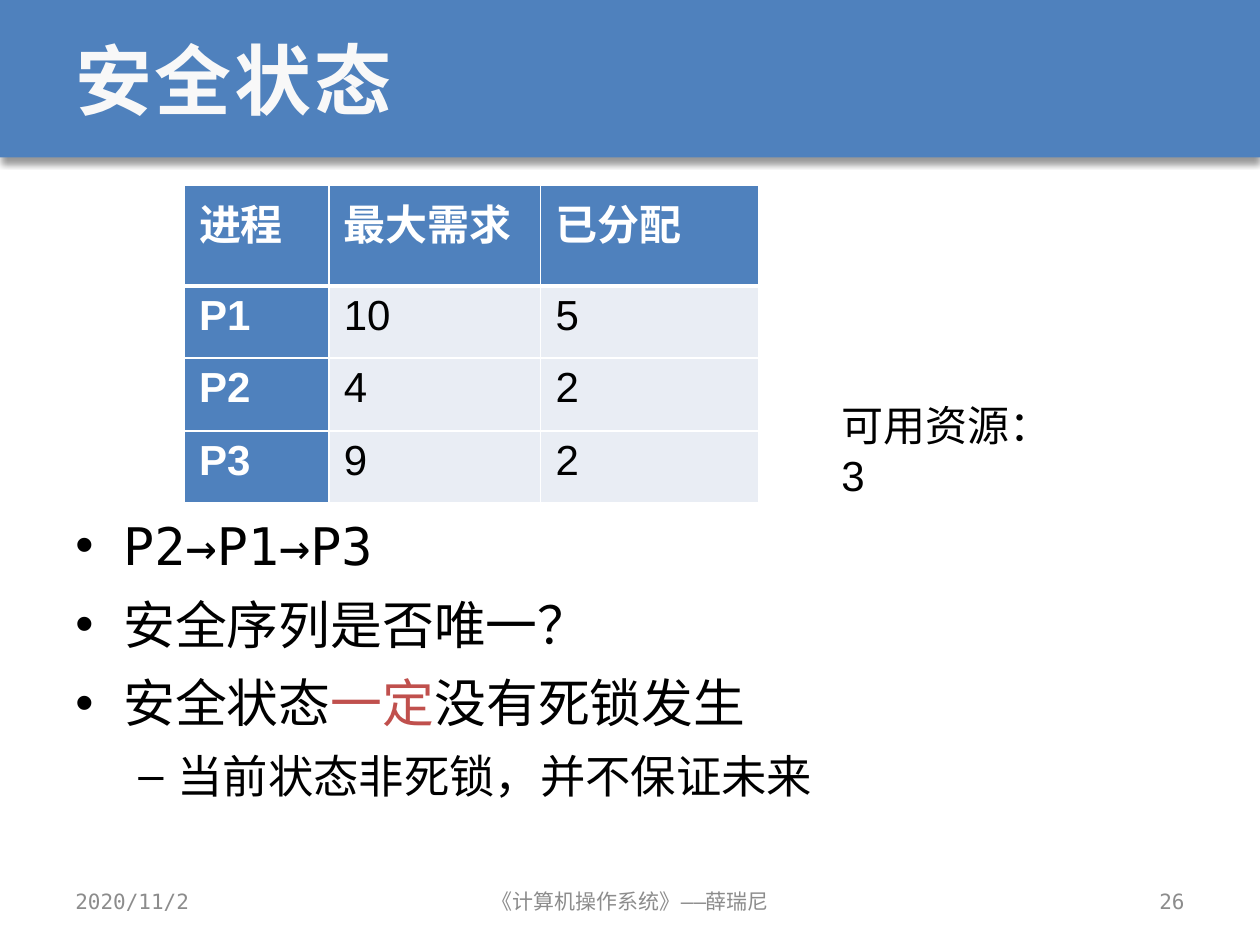
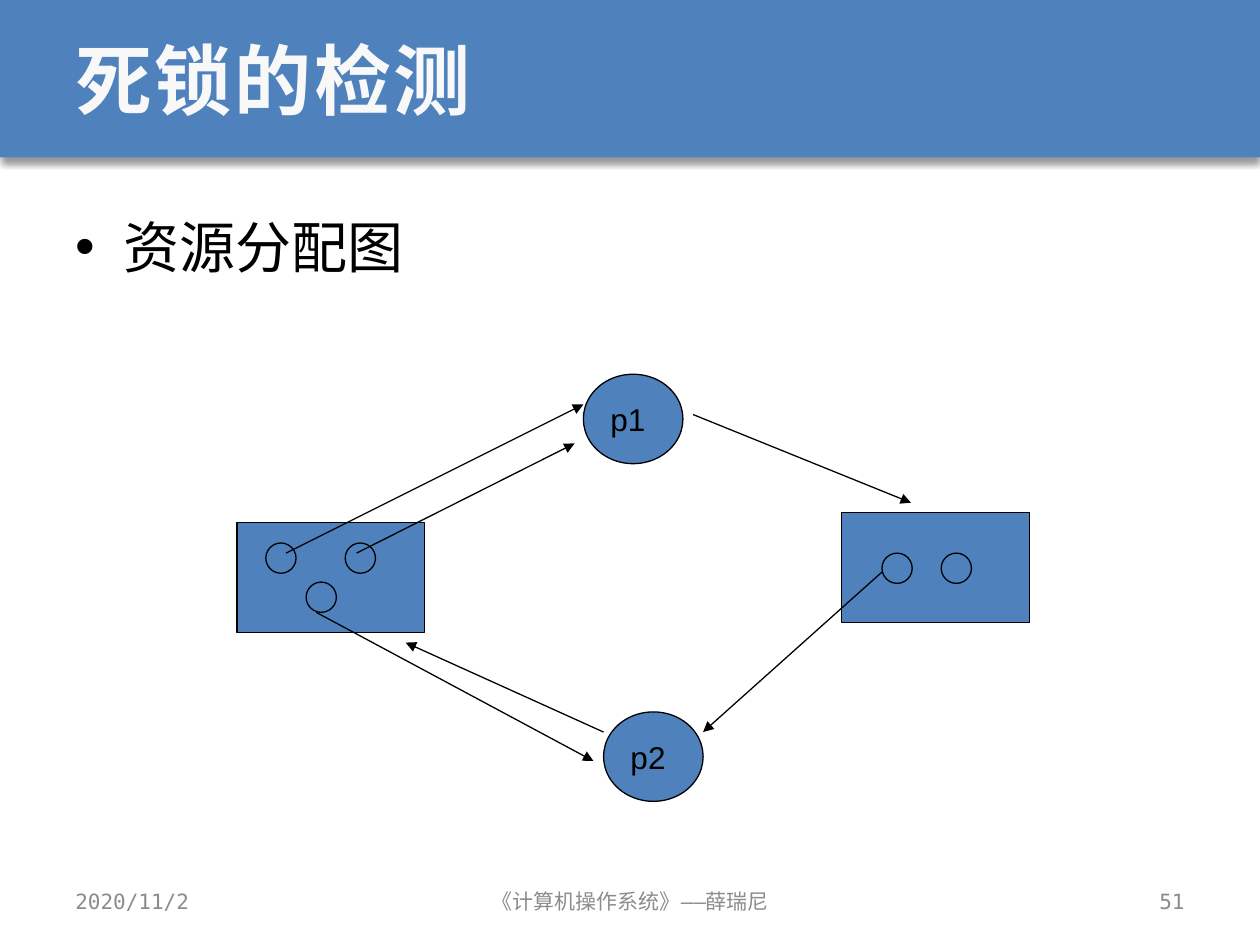
from lxml.etree import SubElement
from pptx import Presentation
from pptx.dml.color import RGBColor
from pptx.enum.lang import MSO_LANGUAGE_ID
from pptx.enum.shapes import MSO_CONNECTOR, MSO_SHAPE
from pptx.enum.text import MSO_ANCHOR, PP_ALIGN
from pptx.oxml import parse_xml
from pptx.oxml.ns import nsdecls, qn
from pptx.util import Inches, Pt

BLUE, PALE, RED = "4F81BD", "E9EDF4", "C0504D"
BLACK, WHITE, SNOW, GRAY = "000000", "FFFFFF", "F8F8F8", "8C8C8C"
SANS, MONO = "Arial", "DejaVu Sans Mono"
LEFT, WIDE = 0.5, 9
BAND = 1.25
DOT = 0.24


def color(code):
    return RGBColor.from_string(code)


def box(at):
    return [Inches(n) for n in at]


def xml(tag, body="", attrs=""):
    return parse_xml(f"<a:{tag} {nsdecls('a')} {attrs}>{body}</a:{tag}>")


def write(para, text, size=24, font=SANS, tint=BLACK, bold=False, gap=0):
    """Add one run; gap is the letter spacing in points."""
    run = para.add_run()
    run.text = text
    face = run.font
    face.size, face.name, face.bold = Pt(size), font, bold
    face.color.rgb = color(tint)
    face.language_id = MSO_LANGUAGE_ID.SIMPLIFIED_CHINESE
    props = run.font._element
    if gap:
        props.set("spc", str(round(gap * 100)))
    if font == MONO:
        SubElement(props, qn("a:ea"), typeface=font)


def frame(slide, at, anchor=MSO_ANCHOR.TOP):
    body = slide.shapes.add_textbox(*box(at)).text_frame
    body.word_wrap = True
    body.vertical_anchor = anchor
    return body


def label(slide, at, text, align=PP_ALIGN.LEFT, anchor=MSO_ANCHOR.MIDDLE, **style):
    para = frame(slide, at, anchor).paragraphs[0]
    para.alignment = align
    write(para, text, **style)


def shape(slide, kind, at, edge=BLACK):
    item = slide.shapes.add_shape(kind, *box(at))
    item.shadow.inherit = False
    item.fill.solid()
    item.fill.fore_color.rgb = color(BLUE)
    if edge:
        item.line.color.rgb = color(edge)
        item.line.width = Pt(0.75)
    else:
        item.line.fill.background()
    return item


def base(deck, title, number):
    """Start a slide with its title band and footer."""
    slide = deck.slides.add_slide(deck.slide_layouts[6])
    band = shape(slide, MSO_SHAPE.RECTANGLE, (0, 0, 10, BAND), edge=None)
    shade = band._element.spPr.find(qn("a:effectLst"))
    shade.append(xml("outerShdw", '<a:srgbClr val="000000"><a:alpha val="40000"/></a:srgbClr>',
                     f'blurRad="{Pt(4)}" dist="{Pt(3)}" dir="5400000" rotWithShape="0"'))
    label(slide, (LEFT, 0, WIDE, BAND), title, size=44, font=MONO, tint=SNOW, bold=True, gap=1.5)
    feet = [(LEFT, 2.33, "2020/11/2", PP_ALIGN.LEFT),
            (3.42, 3.17, "《计算机操作系统》——薛瑞尼", PP_ALIGN.CENTER),
            (7.17, 2.33, number, PP_ALIGN.RIGHT)]
    for left, width, text, align in feet:
        label(slide, (left, 6.95, width, 0.4), text, align, size=12, font=MONO, tint=GRAY)
    return slide


def bullets(slide, at, items, space):
    """Each item is (level, size, [(text, colour), ...])."""
    body = frame(slide, at)
    for i, (level, size, parts) in enumerate(items):
        para = body.add_paragraph() if i else body.paragraphs[0]
        sign, left, hang = [("•", 0.38, 0.38), ("–", 0.81, 0.31)][level]
        props = para._p.get_or_add_pPr()
        props.set("marL", str(Inches(left)))
        props.set("indent", str(-Inches(hang)))
        SubElement(props, qn("a:buFont"), typeface=SANS)
        SubElement(props, qn("a:buChar"), char=sign)
        para.level = level
        para.line_spacing = space
        if i:
            para.space_before = Pt(round(size * 0.2, 1))
        for text, tint in parts:
            write(para, text, size=size, font=MONO, tint=tint)


def border(cell, head):
    props = cell._tc.get_or_add_tcPr()
    for i, side in enumerate("LRTB"):
        width = 3 if head and side == "B" else 1
        fill = f'<a:solidFill><a:srgbClr val="{WHITE}"/></a:solidFill>'
        props.insert(i, xml("ln" + side, fill, f'w="{Pt(width)}"'))


def table(slide, at, rows, widths, heights):
    grid = slide.shapes.add_table(len(rows), len(widths), *box(at)).table
    for col, width in zip(grid.columns, widths):
        col.width = Inches(width)
    for r, row in enumerate(rows):
        grid.rows[r].height = Inches(heights[r])
        for c, text in enumerate(row):
            cell = grid.cell(r, c)
            head = r == 0 or c == 0
            cell.margin_left = cell.margin_right = Inches(0.12)
            cell.margin_top = cell.margin_bottom = Inches(0.05)
            cell.fill.solid()
            cell.fill.fore_color.rgb = color(BLUE if head else PALE)
            border(cell, r == 0)
            write(cell.text_frame.paragraphs[0], text, tint=WHITE if head else BLACK, bold=head)


def process(slide, left, top, name):
    body = shape(slide, MSO_SHAPE.OVAL, (left, top, 0.79, 0.71)).text_frame
    body.word_wrap = False
    body.vertical_anchor = MSO_ANCHOR.MIDDLE
    body.paragraphs[0].alignment = PP_ALIGN.LEFT
    write(body.paragraphs[0], name, size=18)


def store(slide, left, top, units):
    """Draw a resource box with a dot for each unit."""
    shape(slide, MSO_SHAPE.RECTANGLE, (left, top, 1.49, 0.87))
    for x, y in units:
        shape(slide, MSO_SHAPE.OVAL, (x, y, DOT, DOT))


def arrow(slide, start, end):
    line = slide.shapes.add_connector(MSO_CONNECTOR.STRAIGHT, *box(start + end))
    line.line.color.rgb = color(BLACK)
    line.line.width = Pt(0.75)
    SubElement(line.line._get_or_add_ln(), qn("a:tailEnd"), type="triangle")
    SubElement(line._element.spPr, qn("a:effectLst"))


def safe(deck):
    slide = base(deck, "安全状态", "26")
    bullets(slide, (LEFT, 3.98, WIDE, 2.83), [
        (0, 29.6, [("P2→P1→P3", BLACK)]),
        (0, 29.6, [("安全序列是否唯一？", BLACK)]),
        (0, 29.6, [("安全状态", BLACK), ("一定", RED), ("没有死锁发生", BLACK)]),
        (1, 25.9, [("当前状态非死锁，并不保证未来", BLACK)]),
    ], 1.1)
    rows = [("进程", "最大需求", "已分配"), ("P1", "10", "5"), ("P2", "4", "2"), ("P3", "9", "2")]
    table(slide, (1.46, 1.47, 4.57, 2.52), rows, (1.15, 1.68, 1.73), (0.8, 0.57, 0.58, 0.57))
    label(slide, (6.58, 3.12, 2, 0.9), "可用资源：3", anchor=MSO_ANCHOR.TOP)


def detect(deck):
    slide = base(deck, "死锁的检测", "51")
    bullets(slide, (LEFT, 1.48, WIDE, 5.33), [(0, 32, [("资源分配图", BLACK)])], 1.3)
    process(slide, 4.63, 2.97, "p1")
    process(slide, 4.79, 5.65, "p2")
    store(slide, 1.88, 4.15, [(2.11, 4.31), (2.43, 4.62), (2.74, 4.31)])
    store(slide, 6.68, 4.07, [(7, 4.39), (7.47, 4.39)])
    for start, end in [((2.27, 4.39), (4.63, 3.21)), ((2.83, 4.39), (4.56, 3.52)),
                       ((4.79, 5.81), (3.22, 5.1)), ((2.51, 4.86), (4.71, 6.04)),
                       ((5.5, 3.29), (7.23, 3.99)), ((7, 4.54), (5.58, 5.81))]:
        arrow(slide, start, end)


def main():
    deck = Presentation()
    deck.slide_width, deck.slide_height = Inches(10), Inches(7.5)
    safe(deck)
    detect(deck)
    deck.save("out.pptx")


if __name__ == "__main__":
    main()
